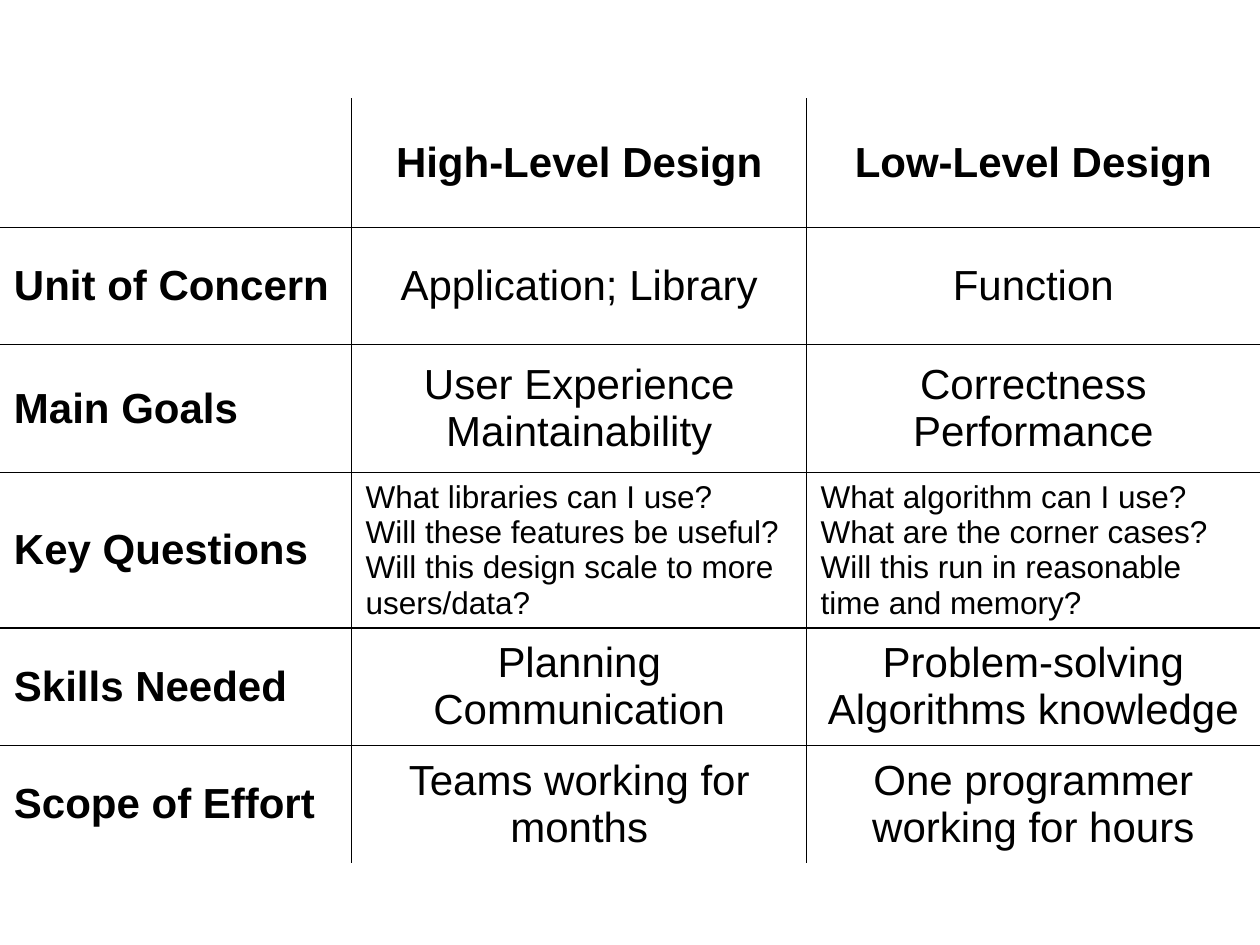
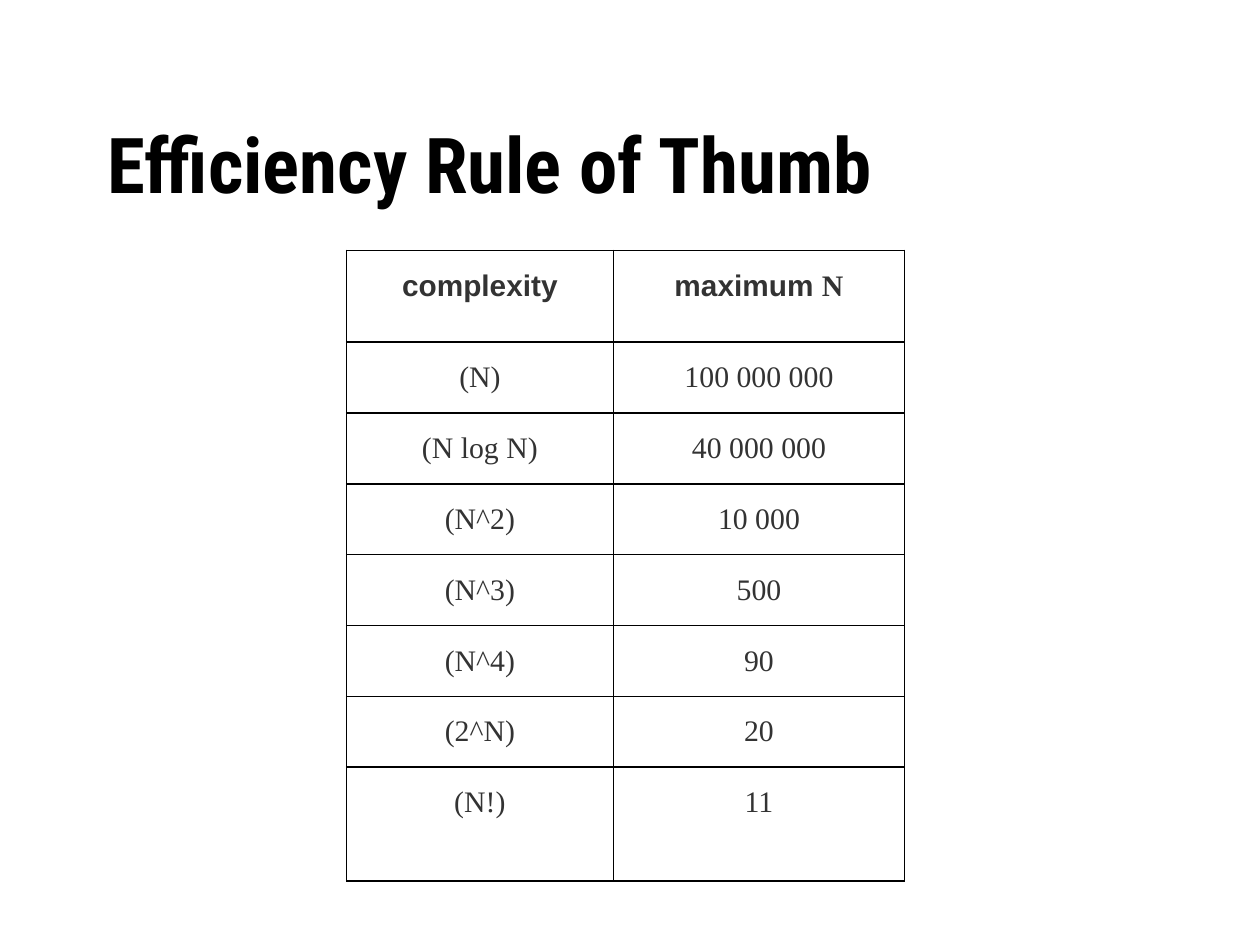
from dataclasses import dataclass
from typing import Any, NamedTuple

from lxml import etree
from pptx import Presentation
from pptx import table as tables
from pptx.dml.color import RGBColor
from pptx.enum import text as enums
from pptx.oxml import ns
from pptx.util import Pt

# Shared look
COLORS = {"black": "000000", "grey": "333333", "white": "FFFFFF"}
SANS, SERIF, TITLE_FONT = "Arial", "Times New Roman", "Roboto Condensed"
LEFT, CENTER = enums.PP_ALIGN.LEFT, enums.PP_ALIGN.CENTER
MIDDLE, TOP = enums.MSO_ANCHOR.MIDDLE, enums.MSO_ANCHOR.TOP
TITLE_ONLY, BLANK = 5, 6
BORDER_WIDTH = Pt(1)


class Style(NamedTuple):
    size: float
    font: str = SANS
    bold: bool = False
    color: str = "black"
    align: Any = CENTER
    spacing: float = 1.0


class Run(NamedTuple):
    text: str
    style: Style


# A cell holds paragraphs, and a paragraph holds runs
Cell = list[list[Run]]


@dataclass
class Grid:
    left: float
    top: float
    columns: list[float]
    rows: list[float]
    cells: list[list[Cell]]
    margin_x: float
    margin_y: float
    anchor: Any
    outer_border: bool
    fill: str | None = None


def set_all(target: Any, values: dict[str, Any]) -> None:
    for name, value in values.items():
        setattr(target, name, value)


def lines(style: Style, *texts: str) -> Cell:
    return [[Run(line, style)] for line in texts]


def add_run(paragraph: Any, run: Run) -> None:
    style = run.style
    set_all(paragraph, {"alignment": style.align, "line_spacing": style.spacing})
    text_run = paragraph.add_run()
    text_run.text = run.text
    set_all(text_run.font, {"size": Pt(style.size), "name": style.font, "bold": style.bold})
    text_run.font.color.rgb = RGBColor.from_string(COLORS[style.color])


def write(frame: Any, content: Cell) -> None:
    for index, runs in enumerate(content):
        paragraph = frame.paragraphs[0] if index == 0 else frame.add_paragraph()
        for run in runs:
            add_run(paragraph, run)


def set_borders(cell: Any, visible: dict[str, bool]) -> None:
    properties = cell._tc.get_or_add_tcPr()
    for side, shown in visible.items():
        line = etree.SubElement(properties, ns.qn(f"a:ln{side}"), w=str(BORDER_WIDTH))
        paint = etree.SubElement(line, ns.qn("a:solidFill" if shown else "a:noFill"))
        if shown:
            etree.SubElement(paint, ns.qn("a:srgbClr"), val=COLORS["black"])


def add_grid(slide: Any, grid: Grid) -> tables.Table:
    row_count, column_count = len(grid.rows), len(grid.columns)
    shape = slide.shapes.add_table(
        row_count, column_count, Pt(grid.left), Pt(grid.top),
        Pt(sum(grid.columns)), Pt(sum(grid.rows)))
    table = shape.table
    set_all(table, {"first_row": False, "horz_banding": False})
    for column, width in zip(table.columns, grid.columns):
        column.width = Pt(width)
    for row, height in zip(table.rows, grid.rows):
        row.height = Pt(height)

    for y, row_cells in enumerate(grid.cells):
        for x, content in enumerate(row_cells):
            cell = table.cell(y, x)
            set_borders(cell, {
                "L": grid.outer_border or x > 0,
                "R": grid.outer_border or x < column_count - 1,
                "T": grid.outer_border or y > 0,
                "B": grid.outer_border or y < row_count - 1,
            })
            set_all(cell, {
                "margin_left": Pt(grid.margin_x), "margin_right": Pt(grid.margin_x),
                "margin_top": Pt(grid.margin_y), "margin_bottom": Pt(grid.margin_y),
                "vertical_anchor": grid.anchor,
            })
            if grid.fill:
                cell.fill.solid()
                cell.fill.fore_color.rgb = RGBColor.from_string(COLORS[grid.fill])
            else:
                cell.fill.background()
            write(cell.text_frame, content)
    return table


def add_title(slide: Any, title: str) -> None:
    shape = slide.shapes.title
    set_all(shape, {"left": Pt(54), "top": Pt(48), "width": Pt(612), "height": Pt(90)})
    set_all(shape.text_frame, {
        "vertical_anchor": MIDDLE, "word_wrap": True,
        "auto_size": enums.MSO_AUTO_SIZE.NONE,
    })
    write(shape.text_frame, lines(Style(44, TITLE_FONT, bold=True, align=LEFT), title))


def design_grid() -> Grid:
    heading = Style(24, bold=True)
    label = heading._replace(align=LEFT)
    body = Style(24)
    question = Style(18, align=LEFT)
    topics = [
        ("Unit of Concern", body, ["Application; Library"], ["Function"]),
        ("Main Goals", body, ["User Experience", "Maintainability"],
         ["Correctness", "Performance"]),
        ("Key Questions", question,
         ["What libraries can I use?", "Will these features be useful?",
          "Will this design scale to more users/data?"],
         ["What algorithm can I use?", "What are the corner cases?",
          "Will this run in reasonable time and memory?"]),
        ("Skills Needed", body, ["Planning", "Communication"],
         ["Problem-solving", "Algorithms knowledge"]),
        ("Scope of Effort", body, ["Teams working for months"],
         ["One programmer working for hours"]),
    ]
    cells = [[[], lines(heading, "High-Level Design"), lines(heading, "Low-Level Design")]]
    cells += [[lines(label, topic), lines(style, *high), lines(style, *low)]
              for topic, style, high, low in topics]
    return Grid(left=0, top=56, columns=[201, 260, 259], rows=[74, 67, 73, 89, 67, 67],
                cells=cells, margin_x=8, margin_y=4, anchor=MIDDLE,
                outer_border=False, fill="white")


def efficiency_grid() -> Grid:
    value = Style(17, SERIF, color="grey", spacing=1.15)
    heading = value._replace(font=SANS, bold=True)
    limits = {
        "(N)": "100 000 000", "(N log N)": "40 000 000", "(N^2)": "10 000",
        "(N^3)": "500", "(N^4)": "90", "(2^N)": "20", "(N!)": "11",
    }
    maximum = [[Run("maximum ", heading), Run("N", value._replace(bold=True))]]
    cells = [[lines(heading, "complexity"), maximum]]
    cells += [[lines(value, text) for text in pair] for pair in limits.items()]
    return Grid(left=198, top=143, columns=[152.5, 166.5], rows=[52.5] + [40.5] * 6 + [65],
                cells=cells, margin_x=8, margin_y=8, anchor=TOP, outer_border=True)


def main() -> None:
    presentation = Presentation()
    set_all(presentation, {"slide_width": Pt(720), "slide_height": Pt(540)})
    layouts = presentation.slide_layouts

    # High-level and low-level design compared
    add_grid(presentation.slides.add_slide(layouts[BLANK]), design_grid())

    # Input size limits by complexity
    slide = presentation.slides.add_slide(layouts[TITLE_ONLY])
    add_title(slide, "Efficiency Rule of Thumb")
    add_grid(slide, efficiency_grid())

    presentation.save("out.pptx")


if __name__ == "__main__":
    main()
